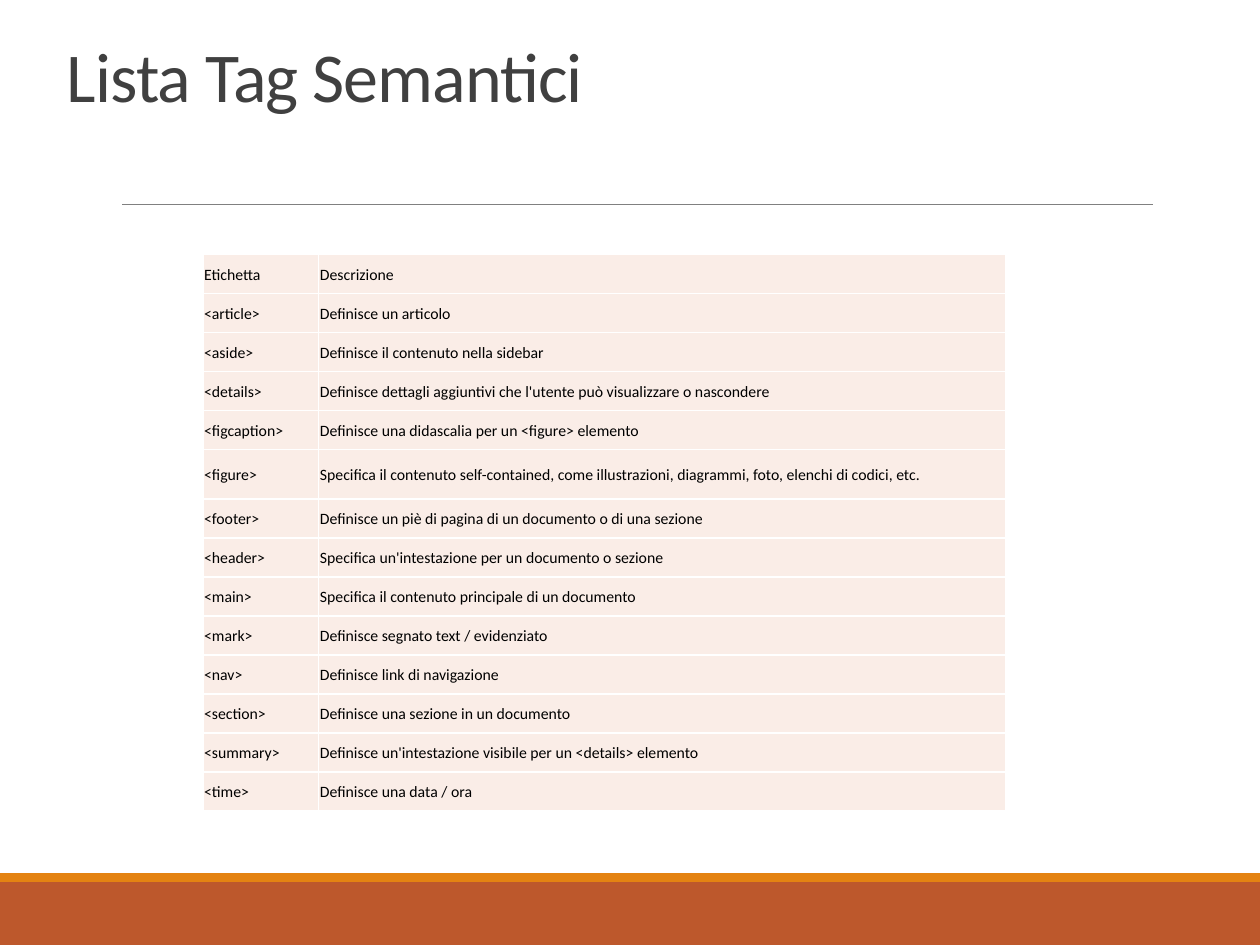
from dataclasses import dataclass

import lxml.etree
import pptx
import pptx.dml.color
import pptx.enum.shapes
import pptx.enum.text
import pptx.oxml
import pptx.oxml.ns
import pptx.util

Inches = pptx.util.Inches
Pt = pptx.util.Pt

TITLE_ONLY_LAYOUT = 5

TAGS = [
    ("Etichetta", "Descrizione"),
    ("<article>", "Definisce un articolo"),
    ("<aside>", "Definisce il contenuto nella sidebar"),
    ("<details>", "Definisce dettagli aggiuntivi che l'utente può visualizzare o nascondere"),
    ("<figcaption>", "Definisce una didascalia per un <figure> elemento"),
    ("<figure>", "Specifica il contenuto self-contained, come illustrazioni, diagrammi, foto, elenchi di codici, etc."),
    ("<footer>", "Definisce un piè di pagina di un documento o di una sezione"),
    ("<header>", "Specifica un'intestazione per un documento o sezione"),
    ("<main>", "Specifica il contenuto principale di un documento"),
    ("<mark>", "Definisce segnato text / evidenziato"),
    ("<nav>", "Definisce link di navigazione"),
    ("<section>", "Definisce una sezione in un documento"),
    ("<summary>", "Definisce un'intestazione visibile per un <details> elemento"),
    ("<time>", "Definisce una data / ora"),
]


@dataclass(frozen=True)
class Theme:
    font: str = "Calibri"
    title_size: float = 40
    table_size: float = 9
    title_color: str = "404040"
    text_color: str = "000000"
    rule_color: str = "808080"
    band_color: str = "BD582C"
    accent_color: str = "E48312"
    cell_color: str = "FAEDE7"
    border_color: str = "FFFFFF"


def rgb(value):
    return pptx.dml.color.RGBColor.from_string(value)


class SlideBuilder:
    def __init__(self, slide, theme):
        self.slide = slide
        self.theme = theme

    def style_font(self, font, size, color):
        font.name = self.theme.font
        font.size = Pt(size)
        font.color.rgb = rgb(color)

    def add_band(self, top, height, color):
        """Draw a borderless strip across the full slide width."""
        shape = self.slide.shapes.add_shape(
            pptx.enum.shapes.MSO_SHAPE.RECTANGLE, 0, Inches(top), Inches(10), Inches(height))
        shape.shadow.inherit = False
        shape.fill.solid()
        shape.fill.fore_color.rgb = rgb(color)
        shape.line.fill.background()

    def add_rule(self, left, right, top):
        connector = self.slide.shapes.add_connector(
            pptx.enum.shapes.MSO_CONNECTOR.STRAIGHT,
            Inches(left), Inches(top), Inches(right), Inches(top))
        connector.line.color.rgb = rgb(self.theme.rule_color)
        connector.line.width = Pt(0.5)
        properties = connector._element.spPr
        lxml.etree.SubElement(properties, pptx.oxml.ns.qn("a:effectLst"))

    def set_title(self, text, left, top, width, height):
        title = self.slide.shapes.title
        title.left, title.top = Inches(left), Inches(top)
        title.width, title.height = Inches(width), Inches(height)
        frame = title.text_frame
        frame.text = text
        frame.word_wrap = True
        frame.vertical_anchor = pptx.enum.text.MSO_ANCHOR.TOP
        paragraph = frame.paragraphs[0]
        paragraph.alignment = pptx.enum.text.PP_ALIGN.LEFT
        paragraph.line_spacing = 0.85
        self.style_font(paragraph.font, self.theme.title_size, self.theme.title_color)
        paragraph.runs[0].font._element.set("spc", "-50")

    def set_borders(self, cell):
        properties = cell._tc.get_or_add_tcPr()
        for index, side in enumerate(("lnL", "lnR", "lnT", "lnB")):
            border = pptx.oxml.parse_xml(
                f'<a:{side} {pptx.oxml.ns.nsdecls("a")} w="{Pt(1)}"><a:solidFill>'
                f'<a:srgbClr val="{self.theme.border_color}"/></a:solidFill></a:{side}>')
            properties.insert(index, border)

    def fill_cell(self, cell, text):
        cell.text = text
        cell.vertical_anchor = pptx.enum.text.MSO_ANCHOR.MIDDLE
        cell.margin_left = cell.margin_right = cell.margin_top = Inches(0.01)
        cell.margin_bottom = 0
        cell.fill.solid()
        cell.fill.fore_color.rgb = rgb(self.theme.cell_color)
        self.style_font(cell.text_frame.paragraphs[0].font,
                        self.theme.table_size, self.theme.text_color)
        self.set_borders(cell)

    def add_table(self, rows, left, top, column_widths, row_heights):
        table = self.slide.shapes.add_table(
            len(rows), len(column_widths), Inches(left), Inches(top),
            Inches(sum(column_widths)), Inches(sum(row_heights))).table
        table.first_row = table.horz_banding = False
        for column, width in zip(table.columns, column_widths):
            column.width = Inches(width)
        for row, height, texts in zip(table.rows, row_heights, rows):
            row.height = Inches(height)
            for cell, text in zip(row.cells, texts):
                self.fill_cell(cell, text)


def main():
    presentation = pptx.Presentation()
    presentation.slide_width = Inches(10)
    presentation.slide_height = Inches(7.5)
    theme = Theme()
    slide = presentation.slides.add_slide(presentation.slide_layouts[TITLE_ONLY_LAYOUT])
    builder = SlideBuilder(slide, theme)

    builder.add_band(7, 0.5, theme.band_color)
    builder.add_band(6.93, 0.07, theme.accent_color)
    builder.add_rule(0.97, 9.15, 1.62)
    builder.set_title("Lista Tag Semantici", 0.43, 0.31, 9.06, 1.31)
    row_heights = [0.39 if tag == "<figure>" else 0.31 for tag, _ in TAGS]
    builder.add_table(TAGS, 1.61, 2.02, [0.92, 5.45], row_heights)

    presentation.save("out.pptx")


if __name__ == "__main__":
    main()
